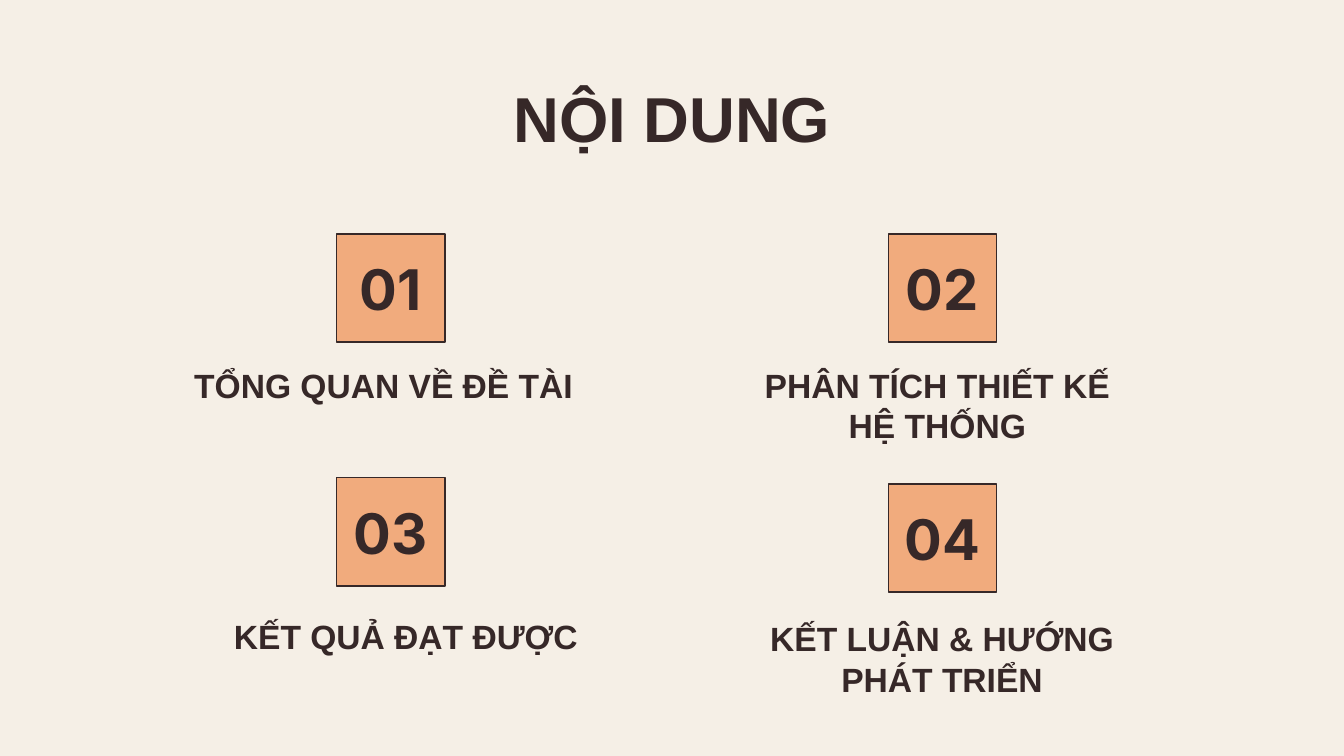
from dataclasses import dataclass

from pptx import Presentation
from pptx.dml.color import RGBColor
from pptx.enum.shapes import MSO_SHAPE
from pptx.enum.text import MSO_ANCHOR, MSO_AUTO_SIZE, PP_ALIGN
from pptx.shapes.autoshape import Shape
from pptx.slide import Slide
from pptx.util import Emu, Pt

EMU_PER_PX = 4572  # 200 px to the inch
SLIDE_WIDTH, SLIDE_HEIGHT = 2000, 1125


@dataclass(frozen=True)
class Theme:
    background: RGBColor = RGBColor(0xF5, 0xEF, 0xE6)
    accent: RGBColor = RGBColor(0xF1, 0xAB, 0x7D)
    ink: RGBColor = RGBColor(0x36, 0x28, 0x28)
    text_font: str = "Arial"
    number_font: str = "Inter"
    title_size: int = 34
    number_size: int = 30
    label_size: int = 18


@dataclass(frozen=True)
class Box:
    left: int
    top: int
    width: int
    height: int

    def emu(self) -> tuple[Emu, ...]:
        lengths = (self.left, self.top, self.width, self.height)
        return tuple(Emu(length * EMU_PER_PX) for length in lengths)


@dataclass(frozen=True)
class Section:
    number: str
    badge: Box
    lines: tuple[str, ...]
    label: Box


THEME = Theme()
BADGE_SIDE = 161
LEFT_BADGE, RIGHT_BADGE = 501, 1322
INSET = Emu(20 * EMU_PER_PX)
FRAME_FORMAT = {
    "word_wrap": True,
    "auto_size": MSO_AUTO_SIZE.NONE,
    "margin_left": INSET,
    "margin_top": INSET,
    "margin_right": INSET,
    "margin_bottom": INSET,
}


def badge_box(left: int, top: int) -> Box:
    return Box(left, top, BADGE_SIDE, BADGE_SIDE)


SECTIONS = (
    Section("01", badge_box(LEFT_BADGE, 348),
            ("TỔNG QUAN VỀ ĐỀ TÀI",), Box(258, 523, 626, 100)),
    Section("02", badge_box(RIGHT_BADGE, 348),
            ("PHÂN TÍCH THIẾT KẾ", "HỆ THỐNG"), Box(1092, 523, 606, 148)),
    Section("03", badge_box(LEFT_BADGE, 711),
            ("KẾT QUẢ ĐẠT ĐƯỢC",), Box(327, 897, 554, 100)),
    Section("04", badge_box(RIGHT_BADGE, 720),
            ("KẾT LUẬN & HƯỚNG PHÁT TRIỂN",), Box(1125, 900, 554, 100)),
)


def apply_format(target: object, values: dict[str, object]) -> None:
    for name, value in values.items():
        setattr(target, name, value)


def write_text(shape: Shape, lines: tuple[str, ...], font: str, size: int,
               anchor: MSO_ANCHOR = MSO_ANCHOR.TOP) -> None:
    frame = shape.text_frame
    apply_format(frame, FRAME_FORMAT | {"vertical_anchor": anchor})
    frame.text = "\n".join(lines)
    for paragraph in frame.paragraphs:
        paragraph.alignment = PP_ALIGN.CENTER
        for run in paragraph.runs:
            apply_format(run.font, {"name": font, "size": Pt(size), "bold": True})
            run.font.color.rgb = THEME.ink


def add_title(slide: Slide, text: str, box: Box) -> None:
    title = slide.shapes.title
    apply_format(title, dict(zip(("left", "top", "width", "height"), box.emu())))
    write_text(title, (text,), THEME.text_font, THEME.title_size)


def add_section(slide: Slide, section: Section) -> None:
    badge = slide.shapes.add_shape(MSO_SHAPE.RECTANGLE, *section.badge.emu())
    badge.shadow.inherit = False
    badge.fill.solid()
    badge.fill.fore_color.rgb = THEME.accent
    badge.line.color.rgb = THEME.ink
    badge.line.width = Pt(0.75)
    write_text(badge, (section.number,), THEME.number_font, THEME.number_size,
               MSO_ANCHOR.MIDDLE)

    label = slide.shapes.add_textbox(*section.label.emu())
    write_text(label, section.lines, THEME.text_font, THEME.label_size)


def main() -> None:
    presentation = Presentation()
    presentation.slide_width = Emu(SLIDE_WIDTH * EMU_PER_PX)
    presentation.slide_height = Emu(SLIDE_HEIGHT * EMU_PER_PX)
    slide = presentation.slides.add_slide(presentation.slide_layouts[5])
    slide.background.fill.solid()
    slide.background.fill.fore_color.rgb = THEME.background

    add_title(slide, "NỘI DUNG", Box(157, 98, 1686, 142))
    for section in SECTIONS:
        add_section(slide, section)
    presentation.save("out.pptx")


if __name__ == "__main__":
    main()
